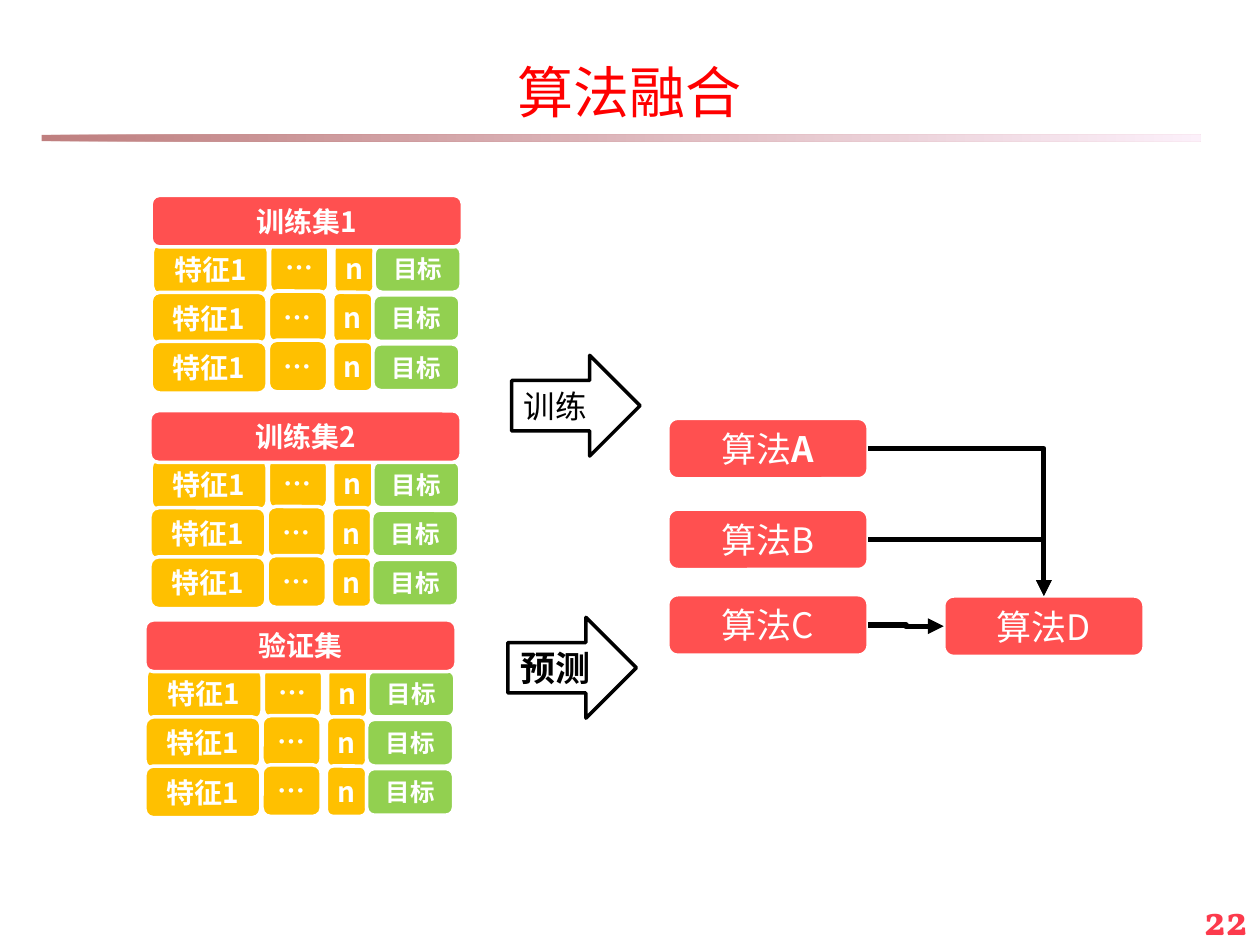
from dataclasses import dataclass

from lxml import etree
from pptx import Presentation
from pptx.dml.color import RGBColor
from pptx.enum.shapes import MSO_CONNECTOR, MSO_SHAPE
from pptx.enum.text import MSO_ANCHOR, PP_ALIGN
from pptx.oxml.ns import qn
from pptx.util import Inches, Pt

ROUND, RECT, ARROW = MSO_SHAPE.ROUNDED_RECTANGLE, MSO_SHAPE.RECTANGLE, MSO_SHAPE.RIGHT_ARROW
ELBOW = MSO_CONNECTOR.ELBOW
LEFT, MID, RIGHT = PP_ALIGN.LEFT, PP_ALIGN.CENTER, PP_ALIGN.RIGHT
CENTER = MSO_ANCHOR.MIDDLE
COLS, ROWS = 10, 7.5  # slide grid, one inch a cell


@dataclass(frozen=True)
class Theme:
    red: str = "FF5050"
    gold: str = "FFC000"
    green: str = "92D050"
    white: str = "FFFFFF"
    black: str = "000000"
    title: str = "FF0000"
    page: str = "FC3A4C"
    fade: tuple = ("800000", "FAE2F6")
    cjk: str = "Noto Sans CJK SC"
    sans: str = "Arial"
    serif: str = "Vollkorn"
    head: int = 32
    num: int = 24
    big: int = 20
    mid: int = 18
    cell: int = 16
    small: int = 14


T = Theme()

# Data cells: text, column, width, row shift, height, fill, size
CELLS = (
    ("特征1", 0, 0.92, 0, 0.41, T.gold, T.cell),
    ("…", 0.93, 0.47, -0.01, 0.41, T.gold, T.cell),
    ("n", 1.44, 0.32, 0, 0.4, T.gold, T.cell),
    ("目标", 1.76, 0.69, 0.02, 0.37, T.green, T.small),
)
SETS = (("训练集1", 1.2, 1.55), ("训练集2", 1.19, 3.26), ("验证集", 1.15, 4.92))
STEP = 0.39  # pitch of data rows


def grid(col, row, wide, high):
    return [Inches(v) for v in (col, row, wide, high)]


def write(frame, text, size=T.cell, font=T.cjk, color=T.white, bold=False, align=MID):
    """Add text to the first paragraph of a frame."""
    para = frame.paragraphs[0]
    para.alignment = align
    run = para.add_run()
    run.text = text
    run.font.size, run.font.bold, run.font.name = Pt(size), bold, font
    run.font.color.rgb = RGBColor.from_string(color)
    east = etree.SubElement(run.font._element, qn("a:ea"))
    east.set("typeface", font)


def block(slide, kind, spot, fill, line=T.white, pad=0.0):
    """Add a filled shape, ready for text."""
    shape = slide.shapes.add_shape(kind, *grid(*spot))
    shape.shadow.inherit = False
    shape.fill.solid()
    shape.fill.fore_color.rgb = RGBColor.from_string(fill)
    shape.line.color.rgb = RGBColor.from_string(line)
    shape.line.width = Pt(2)
    frame = shape.text_frame
    frame.word_wrap = True
    frame.vertical_anchor = CENTER
    frame.margin_left = frame.margin_right = Inches(pad)
    return shape


def cells(slide, left, top, row):
    shift = 0 if row else 0.01
    for text, col, wide, dip, high, fill, size in CELLS:
        spot = (left + col + shift, top + 0.38 + row * STEP + dip, wide, high)
        box = block(slide, ROUND, spot, fill)
        write(box.text_frame, text, size=size, bold=True)


def dataset(slide, name, left, top):
    """The header covers the upper edge of the first row."""
    cells(slide, left, top, 0)
    box = block(slide, ROUND, (left, top, 2.47, 0.41), T.red)
    write(box.text_frame, name, bold=True)
    for row in (1, 2):
        cells(slide, left, top, row)


def model(slide, col, row, name, bold=False):
    box = block(slide, ROUND, (col, row, 1.59, 0.48), T.red)
    write(box.text_frame, "算法", size=T.big)
    write(box.text_frame, name, size=T.big, bold=bold)
    return box


def phase(slide, col, row, text, **form):
    arrow = block(slide, ARROW, (col, row, 1.02, 0.8), T.white, T.black, pad=0.1)
    write(arrow.text_frame, text, font=T.sans, color=T.black, align=LEFT, **form)


def link(slide, start, end, site, bend):
    """Join the right side of one box to a site of another."""
    wire = slide.shapes.add_connector(ELBOW, 0, 0, 0, 0)
    wire.begin_connect(start, 3)
    wire.end_connect(end, site)
    wire.line.color.rgb = RGBColor.from_string(T.black)
    wire.line.width = Pt(3)
    props = wire._element.spPr
    props.find(qn("a:prstGeom")).set("prst", bend)
    etree.SubElement(props.find(qn("a:ln")), qn("a:tailEnd")).set("type", "triangle")
    etree.SubElement(props, qn("a:effectLst"))


def rule(slide):
    """Fading bar under the title."""
    bar = slide.shapes.add_shape(RECT, *grid(0.33, 1.07, 9.2, 0.05))
    bar.shadow.inherit = False
    bar.fill.gradient()
    bar.fill.gradient_angle = 0
    for stop, color in zip(bar.fill.gradient_stops, T.fade):
        stop.color.rgb = RGBColor.from_string(color)
    for tint in bar._element.spPr.iter(qn("a:srgbClr")):
        etree.SubElement(tint, qn("a:alpha")).set("val", "50000")
    bar.line.fill.background()


def heading(slide, text):
    title = slide.shapes.title
    title.left, title.top, title.width, title.height = grid(0, 0.08, COLS, 1.02)
    title.text_frame.vertical_anchor = CENTER
    write(title.text_frame, text, size=T.head, color=T.title)
    title.text_frame.paragraphs[0].line_spacing = 1.5


def page(slide, text):
    box = slide.shapes.add_textbox(*grid(7.67, 7.04, 2.33, 0.44))
    box.text_frame.word_wrap = True
    write(box.text_frame, text, size=T.num, font=T.serif, color=T.page,
          bold=True, align=RIGHT)


def main():
    deck = Presentation()
    deck.slide_width, deck.slide_height = Inches(COLS), Inches(ROWS)
    slide = deck.slides.add_slide(deck.slide_layouts[5])

    # Frame of the page
    heading(slide, "算法融合")
    rule(slide)
    page(slide, "22")

    # Data sets and phases
    for name, left, top in SETS:
        dataset(slide, name, left, top)
    phase(slide, 4.06, 2.82, "训练", size=T.mid)
    phase(slide, 4.03, 4.9, "预测", size=T.big, bold=True)

    # Three models feed the last one
    first = model(slide, 5.3, 3.32, "A", bold=True)
    second = model(slide, 5.3, 4.04, "B")
    third = model(slide, 5.3, 4.72, "C")
    final = model(slide, 7.49, 4.73, "D")
    link(slide, first, final, 0, "bentConnector2")
    link(slide, second, final, 0, "bentConnector2")
    link(slide, third, final, 1, "bentConnector3")

    deck.save("out.pptx")


if __name__ == "__main__":
    main()
